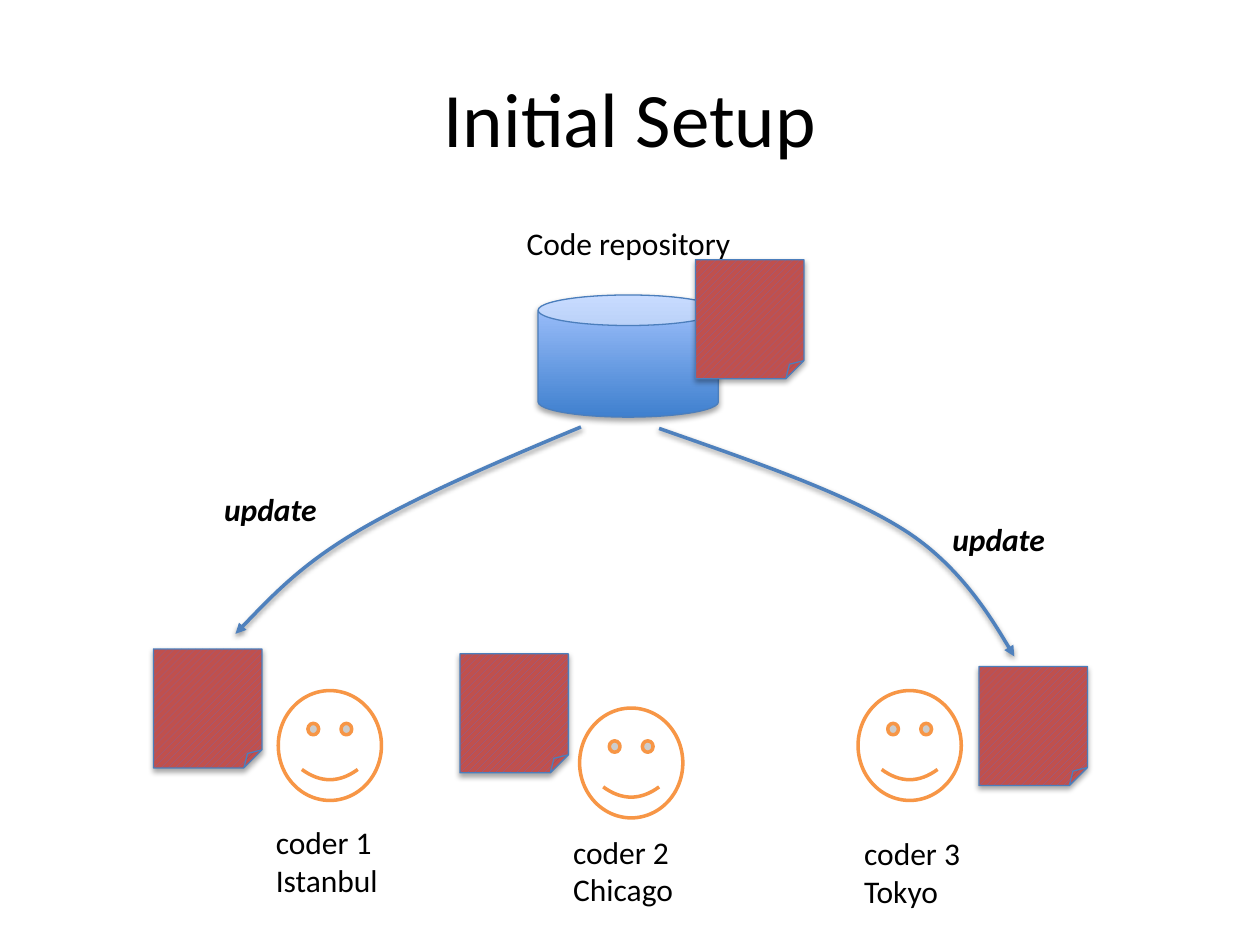
from lxml import etree
from pptx import Presentation
from pptx.dml.color import RGBColor
from pptx.enum.dml import MSO_PATTERN
from pptx.enum.shapes import MSO_SHAPE
from pptx.enum.text import MSO_ANCHOR, MSO_AUTO_SIZE, PP_ALIGN
from pptx.oxml.ns import qn
from pptx.util import Pt

CAN, NOTE, SMILEY = MSO_SHAPE.CAN, MSO_SHAPE.FOLDED_CORNER, MSO_SHAPE.SMILEY_FACE
DIAGONAL = MSO_PATTERN.WIDE_UPWARD_DIAGONAL
MIDDLE, CENTER = MSO_ANCHOR.MIDDLE, PP_ALIGN.CENTER
FIT_TEXT = MSO_AUTO_SIZE.SHAPE_TO_FIT_TEXT

BLACK = RGBColor(0x00, 0x00, 0x00)
WHITE = RGBColor(0xFF, 0xFF, 0xFF)
RED = RGBColor(0xC0, 0x50, 0x4D)
PURPLE = RGBColor(0x80, 0x64, 0xA2)
ORANGE = RGBColor(0xF7, 0x96, 0x46)
OUTLINE = RGBColor(0x4B, 0x7E, 0xBC)
ARROW = RGBColor(0x4F, 0x81, 0xBD)
CAN_BOTTOM = RGBColor(0x3F, 0x80, 0xCE)
CAN_TOP = RGBColor(0xA4, 0xC4, 0xFF)

FONT = "Calibri"
NOTE_SIZE = (62, 68)
SMILEY_SIZE = (59, 62.8)

# Smiley position, then note and label offsets from it, then label lines
CODERS = [
    ((159, 394.6), (-71.3, -23.8), (-8.5, 72), "coder 1\nIstanbul"),
    ((331.2, 404.6), (-68.4, -31), (-10.8, 67.7), "coder 2\nChicago"),
    ((490.3, 394.6), (69.1, -13.7), (-3.6, 78.4), "coder 3\nTokyo"),
]
# Label position, then the start of the curve and its two Bezier segments
UPDATES = [
    ((121, 276.5), [(332, 244), (285.1, 263.5), (238.3, 283.7), (205.2, 303.1),
                    (172.1, 322.6), (153.4, 342.7), (134.6, 362.2)]),
    ((537.1, 293.8), [(376.6, 244.8), (429.8, 263.5), (483.1, 281.5), (517, 303.1),
                      (550.8, 324.7), (579.6, 375.1), (579.6, 375.1)]),
]


def format_runs(text_frame, size, bold=False):
    """Give every run the slide's font; bold runs are italic too."""
    for paragraph in text_frame.paragraphs:
        for run in paragraph.runs:
            run.font.name, run.font.size = FONT, Pt(size)
            run.font.color.rgb = BLACK
            if bold:
                run.font.bold = run.font.italic = True


def add_shadow(shape, distance, opacity):
    """Put a soft shadow straight below the shape."""
    shape.shadow.inherit = False
    effects = shape._element.spPr.find(qn("a:effectLst"))
    shadow = etree.SubElement(effects, qn("a:outerShdw"), blurRad=str(Pt(3.15)),
                              dist=str(Pt(distance)), dir="5400000", rotWithShape="0")
    color = etree.SubElement(shadow, qn("a:srgbClr"), val=str(BLACK))
    etree.SubElement(color, qn("a:alpha"), val=str(opacity * 1000))


def add_preset(slide, kind, left, top, size, line_color, line_width):
    """Add an outlined preset shape without a shadow."""
    width, height = size
    shape = slide.shapes.add_shape(kind, Pt(left), Pt(top), Pt(width), Pt(height))
    shape.shadow.inherit = False
    shape.line.color.rgb, shape.line.width = line_color, Pt(line_width)
    return shape


def add_label(slide, left, top, width, text, bold=False):
    """Add an unwrapped text box, one paragraph for each line."""
    height = 7.2 + 21.8 * len(text.split("\n"))
    box = slide.shapes.add_textbox(Pt(left), Pt(top), Pt(width), Pt(height))
    box.text_frame.text = text
    box.text_frame.word_wrap = False
    box.text_frame.auto_size = FIT_TEXT
    format_runs(box.text_frame, 18, bold)


def add_note(slide, left, top):
    """Add a hatched code file with a folded corner."""
    note = add_preset(slide, NOTE, left, top, NOTE_SIZE, OUTLINE, 0.75)
    note.fill.patterned()
    note.fill.pattern = DIAGONAL
    note.fill.fore_color.rgb, note.fill.back_color.rgb = PURPLE, RED
    add_shadow(note, 1.8, 35)


def add_title(slide, left, top, width, height):
    """Place and format the title placeholder."""
    title = slide.shapes.title
    title.left, title.top, title.width, title.height = map(Pt, (left, top, width, height))
    title.text_frame.text = "Initial Setup"
    title.text_frame.vertical_anchor = MIDDLE
    title.text_frame.paragraphs[0].alignment = CENTER
    format_runs(title.text_frame, 44)


def add_repository(slide, left, top):
    """Add the repository label, its cylinder and the code file on it."""
    add_label(slide, left, top, 132.5, "Code repository")
    can = add_preset(slide, CAN, left + 13.7, top + 44, (103, 69.8), OUTLINE, 0.75)
    can.fill.gradient()
    can.fill.gradient_angle = 90
    for stop, color, position in zip(can.fill.gradient_stops, (CAN_BOTTOM, CAN_TOP), (0, 1)):
        stop.color.rgb, stop.position = color, position
    add_shadow(can, 1.8, 35)
    add_note(slide, left + 103.6, top + 23.8)


def add_coder(slide, position, note_offset, label_offset, text):
    """Add a coder's smiley with a code file and a label around it."""
    left, top = position
    smiley = add_preset(slide, SMILEY, left, top, SMILEY_SIZE, ORANGE, 2)
    smiley.fill.solid()
    smiley.fill.fore_color.rgb = WHITE
    add_note(slide, left + note_offset[0], top + note_offset[1])
    add_label(slide, left + label_offset[0], top + label_offset[1], 73, text)


def add_update(slide, label_position, points):
    """Add a curved arrow through Bezier points, with its label."""
    add_label(slide, *label_position, 73, "update", bold=True)
    start, *others = [(Pt(x), Pt(y)) for x, y in points]
    builder = slide.shapes.build_freeform(*start)
    builder.add_line_segments(others, close=False)
    curve = builder.convert_to_shape()
    segments = list(curve._element.iter(qn("a:lnTo")))
    outline = segments[0].getparent()
    for first in range(0, len(segments), 3):
        bezier = etree.SubElement(outline, qn("a:cubicBezTo"))
        for segment in segments[first:first + 3]:
            bezier.append(segment[0])
            outline.remove(segment)
    curve.fill.background()
    curve.line.color.rgb, curve.line.width = ARROW, Pt(2)
    etree.SubElement(curve.line._get_or_add_ln(), qn("a:tailEnd"), type="triangle")
    add_shadow(curve, 1.6, 38)


def main():
    """Build and save the slide."""
    presentation = Presentation()
    presentation.slide_width, presentation.slide_height = Pt(720), Pt(540)
    slide = presentation.slides.add_slide(presentation.slide_layouts[5])
    add_title(slide, 36, 21.6, 648, 90)
    add_repository(slide, 293.8, 124.6)
    for coder in CODERS:
        add_coder(slide, *coder)
    for update in UPDATES:
        add_update(slide, *update)
    presentation.save("out.pptx")


main()
